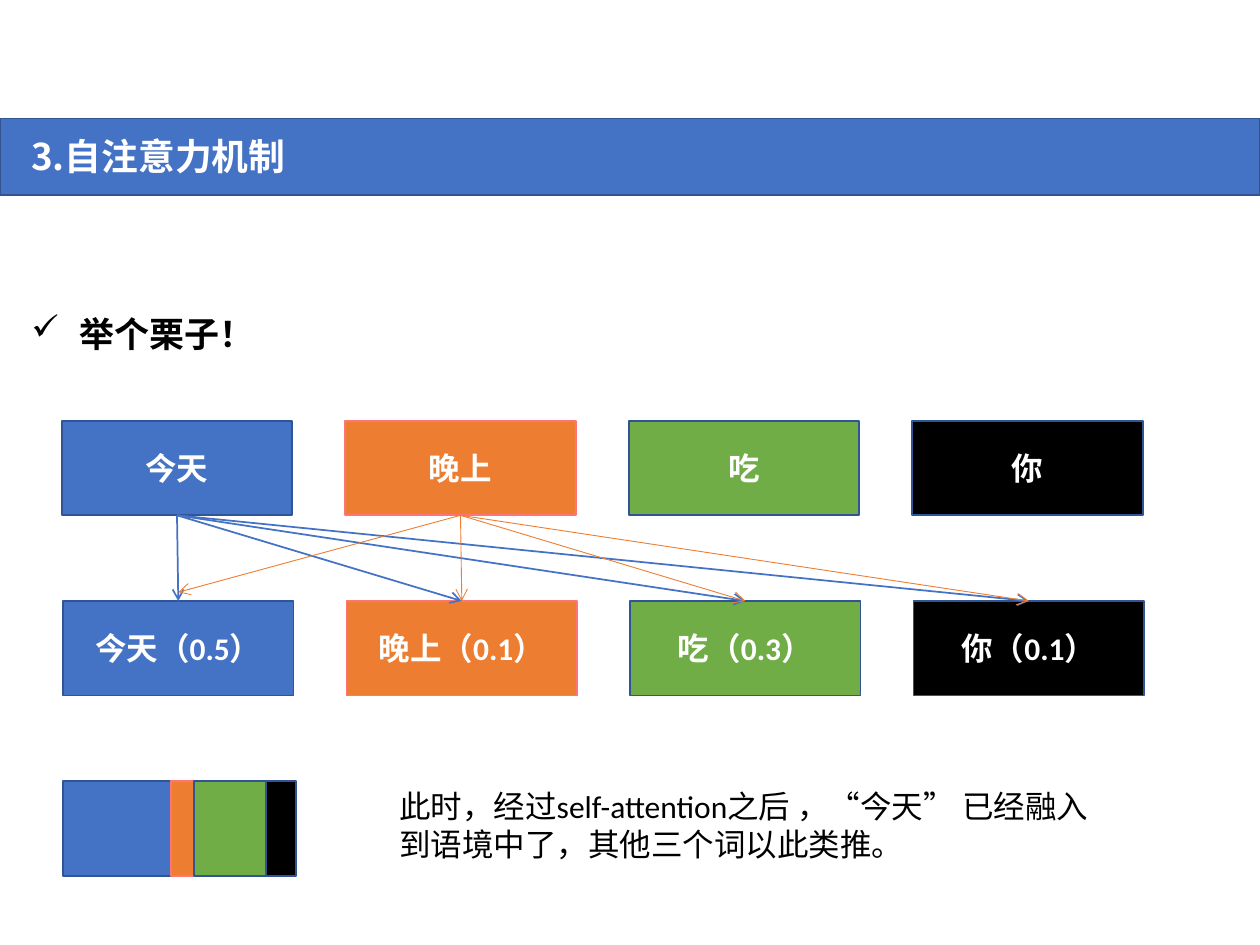
import pptx
import pptx.dml.color
import pptx.enum.shapes
import pptx.enum.text
import pptx.oxml
import pptx.oxml.ns
import pptx.util
from pptx.util import Inches

BLUE, ORANGE, GREEN, BLACK, WHITE = "4472C4", "ED7D31", "70AD47", "000000", "FFFFFF"
NAVY, PINK = "2F5597", "FF7575"
HEADING_FONT, BODY_FONT = "Noto Sans CJK SC", "Calibri"

# word, attention weight, fill, outline
WORDS = [
    ("今天", "0.5", BLUE, NAVY),
    ("晚上", "0.1", ORANGE, PINK),
    ("吃", "0.3", GREEN, NAVY),
    ("你", "0.1", BLACK, NAVY),
]
WORD_PITCH, WORD_WIDTH, WORD_HEIGHT = Inches(2.25), Inches(1.83), Inches(0.75)


def color(hex_string):
    return pptx.dml.color.RGBColor.from_string(hex_string)


def add_xml(parent, xml):
    parent.append(pptx.oxml.parse_xml(xml.replace("/>", f' {pptx.oxml.ns.nsdecls("a")}/>', 1)))


def add_run(paragraph, text, size, font_name, hex_color, bold=False):
    run = paragraph.add_run()
    run.text = text
    run.font.size = pptx.util.Pt(size)
    run.font.name = font_name
    run.font.bold = bold
    run.font.color.rgb = color(hex_color)
    if font_name == HEADING_FONT:
        add_xml(run.font._element, f'<a:ea typeface="{font_name}"/>')


def add_box(slide, left, top, width, height, fill, outline):
    shape = slide.shapes.add_shape(
        pptx.enum.shapes.MSO_SHAPE.RECTANGLE, left, top, width, height)
    shape.shadow.inherit = False
    shape.fill.solid()
    shape.fill.fore_color.rgb = color(fill)
    shape.line.color.rgb = color(outline)
    shape.line.width = pptx.util.Pt(1)
    return shape


def add_text_box(slide, left, top, width, height):
    frame = slide.shapes.add_textbox(left, top, width, height).text_frame
    frame.word_wrap = True
    return frame


def add_title_band(slide, left, top, width, height):
    add_box(slide, left, top, width, height, BLUE, "325491")
    frame = add_text_box(slide, left + Inches(0.15), top + Inches(0.11), Inches(5), Inches(0.45))
    paragraph = frame.paragraphs[0]
    paragraph.line_spacing = 0.9
    add_run(paragraph, "3.自注意力机制", 21, HEADING_FONT, WHITE, bold=True)


def add_check_item(slide, left, top, width, height):
    frame = add_text_box(slide, left, top, width, height)
    frame.margin_top = Inches(0.35)
    paragraph = frame.paragraphs[0]
    properties = paragraph._p.get_or_add_pPr()
    properties.set("marL", str(Inches(0.38)))
    properties.set("indent", str(-Inches(0.38)))
    add_xml(properties, '<a:buChar char="✓"/>')
    add_run(paragraph, "举个栗子！", 20, HEADING_FONT, BLACK, bold=True)


def add_word_row(slide, left, top, with_weights):
    boxes = []
    for index, (word, weight, fill, outline) in enumerate(WORDS):
        box = add_box(slide, left + index * WORD_PITCH, top, WORD_WIDTH, WORD_HEIGHT, fill, outline)
        frame = box.text_frame
        frame.vertical_anchor = pptx.enum.text.MSO_ANCHOR.MIDDLE
        paragraph = frame.paragraphs[0]
        paragraph.alignment = pptx.enum.text.PP_ALIGN.CENTER
        label = f"{word}（{weight}）" if with_weights else word
        add_run(paragraph, label, 18, BODY_FONT, WHITE, bold=True)
        boxes.append(box)
    return boxes


def add_arrows(slide, source, targets, hex_color, width, first_gap=0):
    """Fan arrows from source to all targets; first_gap stops the first one short."""
    for index, target in enumerate(targets):
        gap = first_gap if index == 0 else 0
        arrow = slide.shapes.add_connector(
            pptx.enum.shapes.MSO_CONNECTOR.STRAIGHT,
            source.left + source.width // 2, source.top + source.height,
            target.left + target.width // 2, target.top - gap)
        arrow.begin_connect(source, 2)
        if not gap:
            arrow.end_connect(target, 0)
        arrow.line.color.rgb = color(hex_color)
        arrow.line.width = pptx.util.Pt(width)
        add_xml(arrow.line._get_or_add_ln(), '<a:tailEnd type="arrow"/>')
        add_xml(arrow._element.spPr, "<a:effectLst/>")


def add_mixture_bar(slide, left, top, height):
    """Draw the blend of the four words as adjoining, slightly overlapping boxes."""
    spans = [(0, 0.88), (0.86, 0.18), (1.04, 0.66), (1.61, 0.24)]
    for (offset, width), (_, _, fill, outline) in zip(spans, WORDS):
        add_box(slide, left + Inches(offset), top, Inches(width), height, fill, outline)


def add_conclusion(slide, left, top, width, height):
    frame = add_text_box(slide, left, top, width, height)
    text = "此时，经过self-attention之后 ，“今天” 已经融入到语境中了，其他三个词以此类推。"
    add_run(frame.paragraphs[0], text, 18, BODY_FONT, BLACK)


def main():
    presentation = pptx.Presentation()
    presentation.slide_width, presentation.slide_height = Inches(10), Inches(7.5)
    slide = presentation.slides.add_slide(presentation.slide_layouts[6])
    add_title_band(slide, 0, Inches(0.94), Inches(10), Inches(0.61))
    add_check_item(slide, Inches(0.15), Inches(2.13), Inches(5.61), Inches(3.24))
    words = add_word_row(slide, Inches(0.49), Inches(3.34), with_weights=False)
    weighted_words = add_word_row(slide, Inches(0.5), Inches(4.77), with_weights=True)
    add_arrows(slide, words[0], weighted_words, BLUE, 1)
    add_mixture_bar(slide, Inches(0.5), Inches(6.2), Inches(0.75))
    add_conclusion(slide, Inches(3.07), Inches(6.2), Inches(5.89), Inches(0.71))
    add_arrows(slide, words[1], weighted_words, ORANGE, 0.5, first_gap=Inches(0.07))
    presentation.save("out.pptx")


if __name__ == "__main__":
    main()
